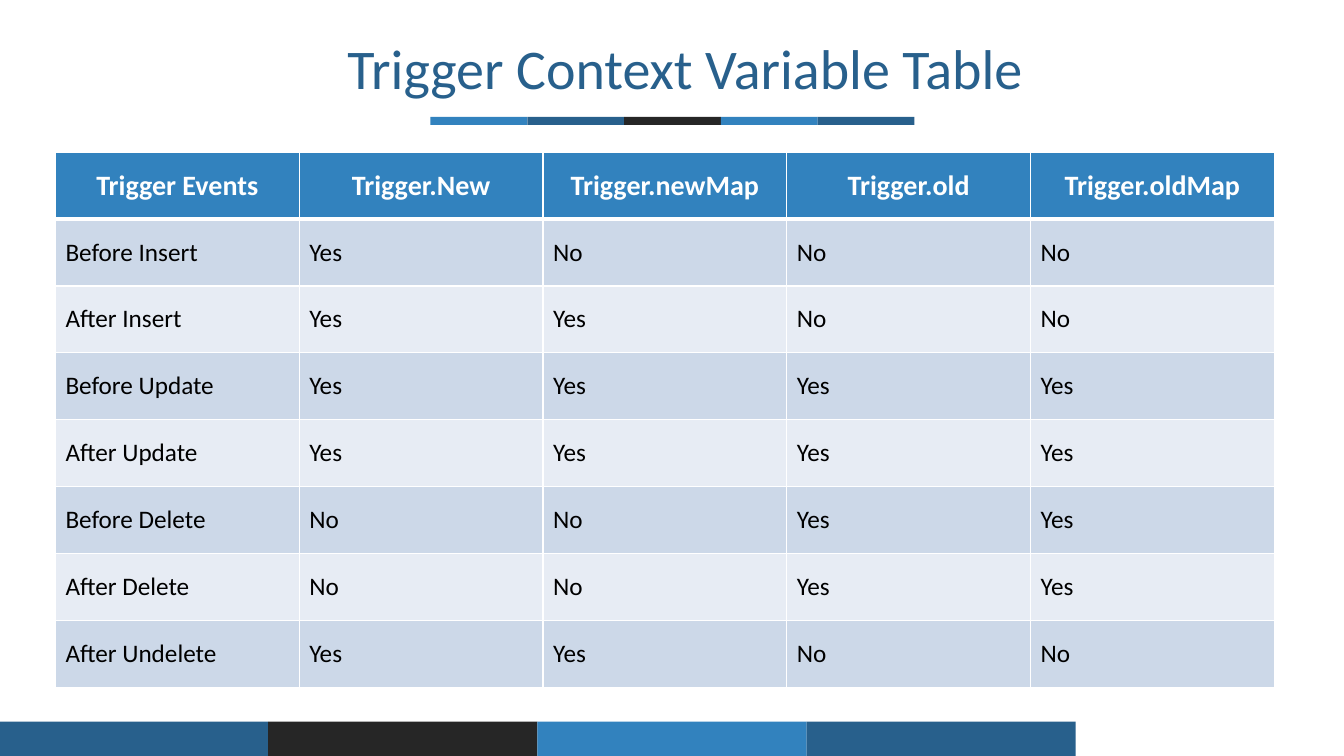
from dataclasses import dataclass

from lxml import etree
from pptx import Presentation
from pptx.dml.color import RGBColor as RGB
from pptx.enum.shapes import MSO_SHAPE as SHAPE
from pptx.enum.text import MSO_ANCHOR as ANCHOR, MSO_AUTO_SIZE as AUTOSIZE, PP_ALIGN as ALIGN
from pptx.oxml.ns import qn
from pptx.util import Inches, Pt


@dataclass(frozen=True)
class Theme:
    """Colours and type sizes of the slide."""
    font: str = "Calibri"
    blue: str = "3282BE"
    navy: str = "28608C"
    dark: str = "262626"
    white: str = "FFFFFF"
    black: str = "000000"
    band_odd: str = "CCD8E8"
    band_even: str = "E7ECF4"
    title_size: int = 40
    header_size: int = 20
    body_size: int = 18


THEME = Theme()

HEADERS = ["Trigger Events", "Trigger.New", "Trigger.newMap", "Trigger.old", "Trigger.oldMap"]
EVENTS = [
    ("Before Insert", "Yes", "No", "No", "No"),
    ("After Insert", "Yes", "Yes", "No", "No"),
    ("Before Update", "Yes", "Yes", "Yes", "Yes"),
    ("After Update", "Yes", "Yes", "Yes", "Yes"),
    ("Before Delete", "No", "No", "Yes", "Yes"),
    ("After Delete", "No", "No", "Yes", "Yes"),
    ("After Undelete", "Yes", "Yes", "No", "No"),
]


def add_run(p, text, size, color, bold=False):
    """Add one formatted run to a paragraph."""
    r = p.add_run()
    r.text = text
    r.font.name = THEME.font
    r.font.size = Pt(size)
    r.font.bold = bold
    r.font.color.rgb = RGB.from_string(color)


def add_title(s, text):
    """Place and format the title placeholder."""
    sp = s.shapes.title
    sp.left, sp.top, sp.width, sp.height = map(Inches, (0.41, 0.34, 12.52, 0.69))
    tf = sp.text_frame
    tf.auto_size = AUTOSIZE.NONE
    tf.word_wrap = True
    tf.vertical_anchor = ANCHOR.TOP
    tf.margin_left, tf.margin_top = Inches(0.35), Inches(0.07)
    p = tf.paragraphs[0]
    p.alignment = ALIGN.CENTER
    p.line_spacing = 0.9
    add_run(p, text, THEME.title_size, THEME.navy)


def add_color_strip(s, left, top, width, height, colors):
    """Add a row of equal, touching coloured rectangles."""
    for i, color in enumerate(colors):
        sp = s.shapes.add_shape(SHAPE.RECTANGLE, Inches(left + i * width), Inches(top),
                                Inches(width), Inches(height))
        sp.shadow.inherit = False
        sp.fill.solid()
        sp.fill.fore_color.rgb = RGB.from_string(color)
        sp.line.fill.background()


def set_borders(cell, bottom):
    """Draw white cell borders, the bottom one with its own weight."""
    tc_pr = cell._tc.get_or_add_tcPr()
    for i, (side, weight) in enumerate((("L", 1), ("R", 1), ("T", 1), ("B", bottom))):
        ln = etree.Element(qn(f"a:ln{side}"), w=str(Pt(weight)))
        fill = etree.SubElement(ln, qn("a:solidFill"))
        etree.SubElement(fill, qn("a:srgbClr"), val=THEME.white)
        tc_pr.insert(i, ln)


def fill_cell(cell, text, is_header, fill):
    """Write and style one table cell."""
    cell.fill.solid()
    cell.fill.fore_color.rgb = RGB.from_string(fill)
    cell.vertical_anchor = ANCHOR.MIDDLE
    p = cell.text_frame.paragraphs[0]
    if is_header:
        p.alignment = ALIGN.CENTER
        add_run(p, text, THEME.header_size, THEME.white, bold=True)
    else:
        add_run(p, text, THEME.body_size, THEME.black)
    set_borders(cell, 3 if is_header else 1)


def add_events_table(s, rows):
    """Add the table with a header row and alternating bands."""
    table = s.shapes.add_table(len(rows), len(rows[0]), Inches(0.55), Inches(1.51),
                               Inches(12.09), Inches(5.31)).table
    for i, row in enumerate(rows):
        band = THEME.band_odd if i % 2 else THEME.band_even
        for j, text in enumerate(row):
            fill_cell(table.cell(i, j), text, i == 0, THEME.blue if i == 0 else band)


def main():
    """Build and save the slide."""
    prs = Presentation()
    prs.slide_width, prs.slide_height = Inches(13.33), Inches(7.5)
    s = prs.slides.add_slide(prs.slide_layouts[5])
    t = THEME
    add_color_strip(s, 4.27, 1.16, 0.96, 0.08, [t.blue, t.navy, t.dark, t.blue, t.navy])
    add_color_strip(s, -0.01, 7.16, 2.67, 0.37, [t.navy, t.dark, t.blue, t.navy])
    add_title(s, "Trigger Context Variable Table")
    add_events_table(s, [HEADERS, *EVENTS])
    prs.save("out.pptx")


if __name__ == "__main__":
    main()
